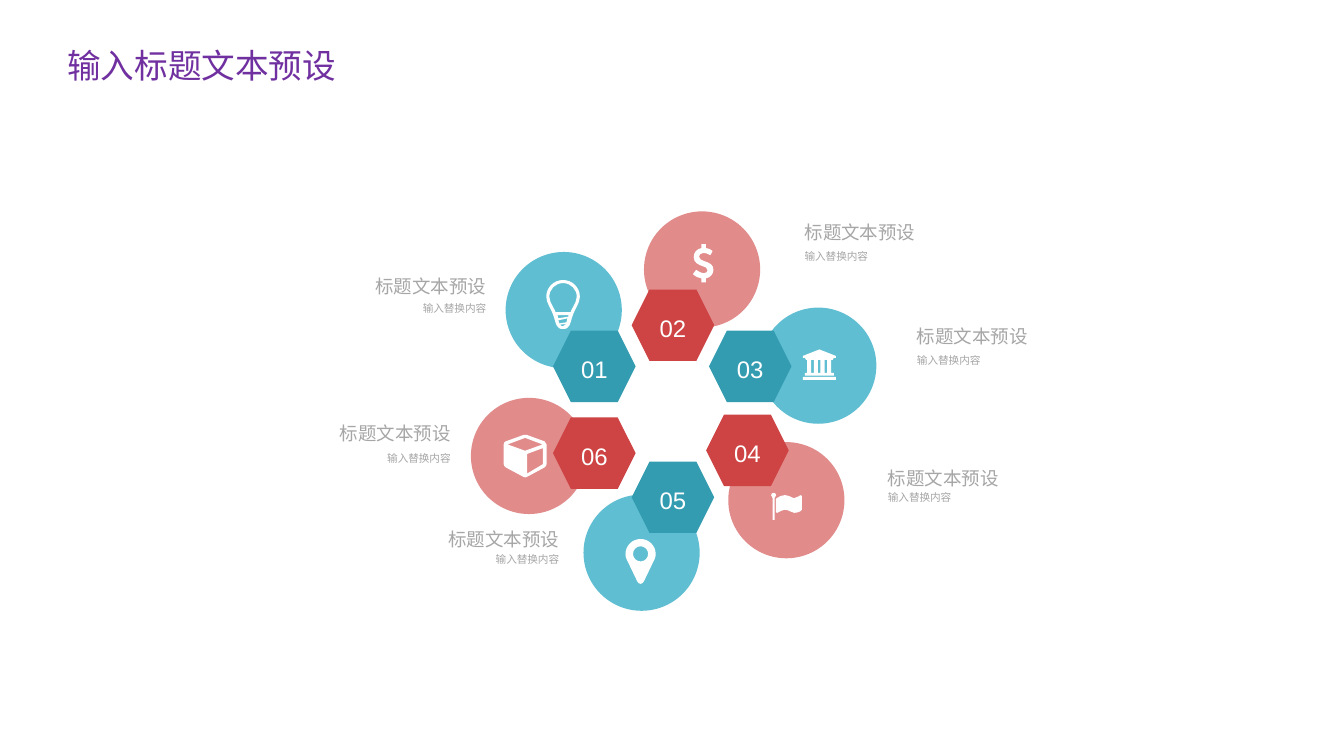
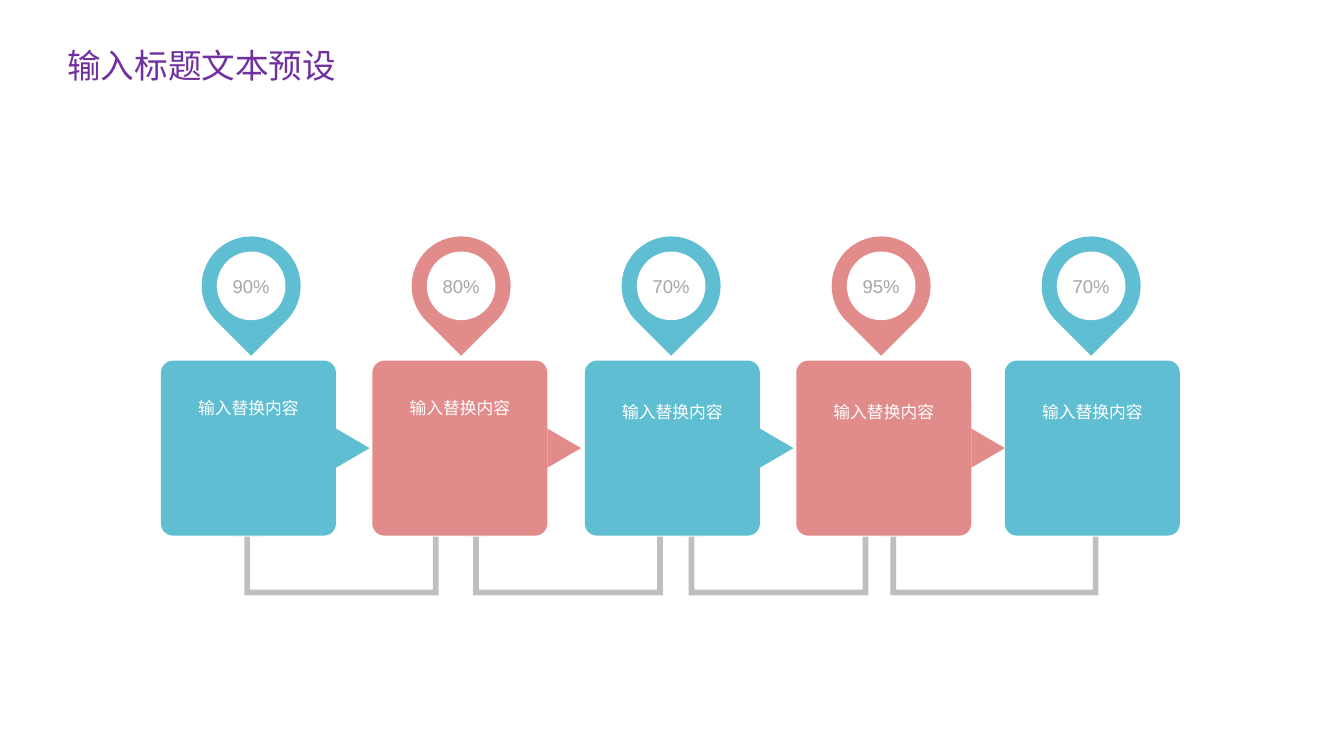
from dataclasses import dataclass

import lxml.etree
import pptx
import pptx.dml.color
import pptx.enum.shapes
import pptx.enum.text
import pptx.oxml.ns
import pptx.util

Pt = pptx.util.Pt
RGBColor = pptx.dml.color.RGBColor
Shape = pptx.enum.shapes.MSO_SHAPE
Align = pptx.enum.text.PP_ALIGN
Anchor = pptx.enum.text.MSO_ANCHOR
qn = pptx.oxml.ns.qn

AQUA = RGBColor(0x5F, 0xBE, 0xD1)
TEAL = RGBColor(0x33, 0x9C, 0xB1)
ROSE = RGBColor(0xE1, 0x8B, 0x8B)
RED = RGBColor(0xCE, 0x43, 0x43)
PURPLE = RGBColor(0x70, 0x30, 0xA0)
GREY = RGBColor(0xA6, 0xA6, 0xA6)
SILVER = RGBColor(0xBF, 0xBF, 0xBF)
WHITE = RGBColor(0xFF, 0xFF, 0xFF)

BODY_FONT = "Arial"
TITLE_FONT = "Noto Sans CJK SC"
TITLE = "输入标题文本预设"
HEADING = "标题文本预设"
CONTENT = "输入替换内容"

Contour = list[tuple[float, ...]]


def rectangle(left: float, top: float, right: float, bottom: float) -> Contour:
    return [(left, top), (right, top), (right, bottom), (left, bottom)]


BULB: list[Contour] = [
    [(12, 0), (5.3, 0, 0, 5.3, 0, 12), (0, 16.5, 4, 21.5, 5, 25),
     (7.2, 31.5, 7, 35, 12, 35), (17, 35, 16.8, 31.5, 19, 25),
     (20, 21.5, 24, 16.5, 24, 12), (24, 5.3, 18.7, 0, 12, 0)],
    [(17.3, 23), (6.7, 23), (6.4, 22, 5.8, 21, 5, 19.5),
     (3.5, 16.5, 2.2, 14.5, 2.2, 12), (2.2, 6.6, 6.6, 2.2, 12, 2.2),
     (17.4, 2.2, 21.8, 6.6, 21.8, 12), (21.8, 14.5, 20.5, 16.5, 19, 19.5),
     (18.2, 21, 17.6, 22, 17.3, 23)],
    [(14.4, 30.2), (9.4, 31), (8.6, 28.8), (15.1, 27.4)],
    [(8.6, 27.3), (8, 25), (16, 25), (15.7, 26.2)],
    [(12, 33), (10.8, 33, 10.2, 32.6, 9.9, 31.9), (14.2, 31.3)],
]

DOLLAR: list[Contour] = [
    [(9.4, 24.5), (9.4, 27.4), (6.2, 27.4), (6.2, 24.5),
     (2.4, 23.9, 0.4, 21.8, 0.2, 21.4), (2.4, 18.5),
     (3, 18.4, 5, 20.7, 7.9, 20.8), (9.5, 20.8, 10.6, 20, 10.6, 18.7),
     (10.6, 16.8, 8.8, 16.5, 7, 15.8), (4.2, 14.8, 0.7, 13.4, 0.7, 9.4),
     (0.7, 6, 2.9, 3.5, 6.2, 2.9), (6.2, 0), (9.4, 0), (9.4, 2.9),
     (12, 3.2, 13.8, 4.6, 14.2, 5), (12.6, 8),
     (12, 8, 10.3, 6.4, 7.9, 6.4), (5.9, 6.4, 4.5, 7.4, 4.5, 9),
     (4.5, 11, 6.5, 11.5, 8.5, 12.3), (11.5, 13.4, 14.8, 14.4, 14.8, 18.3),
     (14.8, 21.5, 12.6, 24, 9.4, 24.5)],
]

BANK: list[Contour] = [
    [(11.7, 0), (23.4, 4.6), (23.4, 6), (22, 6), (21.3, 7.4),
     (2.1, 7.4), (1.4, 6), (0, 6), (0, 4.6)],
    *[rectangle(left, 7.4, left + 2.9, 16.8) for left in (3, 7.75, 12.5, 17.25)],
    rectangle(1.4, 16.8, 22, 18.8),
    rectangle(0, 19.6, 23.4, 21.8),
]

FLAG: list[Contour] = [
    [(2.6, 3.6), (2.6, 19.4), (1, 19.4), (1, 3.6),
     (0.4, 3.2, 0, 2.5, 0, 1.8), (0, 0.8, 0.8, 0, 1.8, 0),
     (2.8, 0, 3.6, 0.8, 3.6, 1.8), (3.6, 2.5, 3.2, 3.2, 2.6, 3.6)],
    [(21.9, 12.2), (21.9, 12.8, 21.5, 13, 21, 13.2),
     (19.8, 13.8, 18.3, 14.4, 16.6, 14.4), (14.4, 14.4, 13, 12.2, 10, 12.2),
     (8.5, 12.2, 6, 13.3, 4.3, 14.4), (3.5, 13.9), (3.5, 4.3), (4.6, 3.5),
     (6, 2.6, 7.7, 1.7, 9.8, 1.7), (12.2, 1.7, 13.5, 2.6, 15.2, 3.5),
     (15.7, 3.7, 16, 3.8, 16.5, 3.8), (18.5, 3.8, 20.5, 1.7, 21.3, 1.7),
     (21.9, 2.4)],
]

MAP_PIN: list[Contour] = [
    [(20.8, 14.4), (13.2, 30.2), (12.6, 31.4, 11.8, 32, 10.8, 32),
     (9.7, 32, 8.9, 31.4, 8.4, 30.2), (0.8, 14.4),
     (0.2, 13.3, 0, 12, 0, 10.8), (0, 4.8, 4.8, 0, 10.8, 0),
     (16.8, 0, 21.6, 4.8, 21.6, 10.8), (21.6, 12, 21.4, 13.3, 20.8, 14.4)],
    [(10.8, 5.2), (7.8, 5.2, 5.4, 7.6, 5.4, 10.6),
     (5.4, 13.6, 7.8, 16, 10.8, 16), (13.8, 16, 16.2, 13.6, 16.2, 10.6),
     (16.2, 7.6, 13.8, 5.2, 10.8, 5.2)],
]

CUBE: list[Contour] = [
    [(30.6, 21.2), (30.6, 22.3, 30, 23, 29.2, 23.6), (16.6, 30.4),
     (16, 30.9, 15, 30.9, 14.2, 30.4), (1.5, 23.6), (0.6, 23, 0, 22.3, 0, 21.2),
     (0, 7.2), (0, 6, 0.6, 5.4, 1.5, 5), (14.4, 0.3),
     (15, 0, 15.6, 0, 16.3, 0.3), (29.2, 5), (30, 5.4, 30.6, 6, 30.6, 7.2)],
    [(27.8, 7.2), (15.3, 2.5), (2.8, 7.2), (15.3, 11.7)],
    [(28, 21.3), (28, 9.8), (16.7, 14), (16.7, 28)],
]


@dataclass(frozen=True)
class Petal:
    number: str
    circle: tuple[float, float]
    hexagon: tuple[float, float]
    icon: list[Contour]
    icon_at: tuple[float, float]
    label_edge: float
    heading_top: float
    content_top: float
    align: Align


@dataclass(frozen=True)
class Step:
    percent: str
    card_left: float
    text_top: float


@dataclass(frozen=True)
class Bracket:
    left: float
    width: float


PETALS = [
    Petal("01", (361.2, 180), (395, 236.2), BULB, (390.2, 200), 347.3, 193, 213.8, Align.RIGHT),
    Petal("02", (460, 151), (451.2, 206.8), DOLLAR, (494.8, 174.3), 574.7, 154.8, 176.7, Align.LEFT),
    Petal("03", (543, 219.7), (506.4, 236.2), BANK, (573.6, 249.6), 655, 229, 251.3, Align.LEFT),
    Petal("04", (520.2, 315.8), (504.4, 296.2), FLAG, (550.8, 352), 634.2, 330.5, 348.8, Align.LEFT),
    Petal("05", (416.8, 353.3), (451.2, 329.7), MAP_PIN, (446.8, 385), 399.4, 374.2, 393.1, Align.RIGHT),
    Petal("06", (336.4, 284.2), (395, 298.2), CUBE, (359.8, 310.3), 321.9, 298, 320.8, Align.RIGHT),
]

STEPS = [
    Step("90%", 115, 281.5),
    Step("80%", 266, 281.5),
    Step("70%", 417.8, 284),
    Step("95%", 568.8, 284),
    Step("70%", 717.8, 284),
]

BRACKETS = [Bracket(166, 147.3), Bracket(329.5, 144), Bracket(483.5, 136.8), Bracket(627.6, 157)]


def paint(figure, fill: RGBColor) -> None:
    figure.shadow.inherit = False
    figure.fill.solid()
    figure.fill.fore_color.rgb = fill
    figure.line.fill.background()


def add_figure(slide, kind: Shape, left: float, top: float, width: float, height: float,
               fill: RGBColor, adjustments: tuple[float, ...] = (), rotation: float = 0):
    figure = slide.shapes.add_shape(kind, Pt(left), Pt(top), Pt(width), Pt(height))
    paint(figure, fill)
    for index, value in enumerate(adjustments):
        figure.adjustments[index] = value
    figure.rotation = rotation
    return figure


def write(frame, text: str, size: float, color: RGBColor, align: Align = Align.LEFT,
          spacing: float = 1.0, font: str = BODY_FONT) -> None:
    paragraph = frame.paragraphs[0]
    paragraph.text = text
    paragraph.alignment = align
    paragraph.line_spacing = spacing
    paragraph.font.name = font
    paragraph.font.size = Pt(size)
    paragraph.font.color.rgb = color


def clear_margins(frame) -> None:
    frame.margin_left = frame.margin_right = frame.margin_top = frame.margin_bottom = 0


def add_label(slide, text: str, left: float, top: float, width: float, height: float,
              size: float, color: RGBColor, align: Align, wrap: bool = True) -> None:
    frame = slide.shapes.add_textbox(Pt(left), Pt(top), Pt(width), Pt(height)).text_frame
    frame.word_wrap = wrap
    frame.auto_size = pptx.enum.text.MSO_AUTO_SIZE.SHAPE_TO_FIT_TEXT
    clear_margins(frame)
    write(frame, text, size, color, align, 1.2)


def add_caption(figure, text: str, size: float, color: RGBColor, spacing: float) -> None:
    frame = figure.text_frame
    clear_margins(frame)
    frame.vertical_anchor = Anchor.MIDDLE
    write(frame, text, size, color, Align.CENTER, spacing)


def add_icon(slide, icon: list[Contour], left: float, top: float) -> None:
    def place(x: float, y: float) -> tuple[int, int]:
        return Pt(left + x), Pt(top + y)

    outline = slide.shapes.build_freeform(*place(*icon[0][0]))
    for index, contour in enumerate(icon):
        if index:
            outline.move_to(*place(*contour[0]))
        outline.add_line_segments([place(*segment[-2:]) for segment in contour[1:]], close=True)
    figure = outline.convert_to_shape()
    paint(figure, WHITE)
    segments = [segment for contour in icon for segment in contour[1:]]
    for edge, segment in zip(list(figure.element.iter(qn("a:lnTo"))), segments):
        if len(segment) == 6:
            curve = lxml.etree.Element(qn("a:cubicBezTo"))
            for x, y in zip(segment[::2], segment[1::2]):
                point_x, point_y = place(x, y)
                lxml.etree.SubElement(curve, qn("a:pt"), x=str(point_x - figure.left),
                                      y=str(point_y - figure.top))
            edge.getparent().replace(edge, curve)


def add_titled_slide(deck):
    slide = deck.slides.add_slide(deck.slide_layouts[6])
    frame = slide.shapes.add_textbox(Pt(41), Pt(28.8), Pt(242), Pt(36)).text_frame
    frame.word_wrap = True
    write(frame, TITLE, 24, PURPLE, font=TITLE_FONT)
    return slide


def build_ring(deck) -> None:
    slide = add_titled_slide(deck)
    pale, strong = (AQUA, ROSE), (TEAL, RED)
    for index, petal in enumerate(PETALS):
        add_figure(slide, Shape.OVAL, *petal.circle, 83, 83, pale[index % 2])
    for index, petal in enumerate(PETALS):
        hexagon = add_figure(slide, Shape.HEXAGON, *petal.hexagon, 59, 51, strong[index % 2])
        add_caption(hexagon, petal.number, 17.1, WHITE, 1.2)
    for petal in PETALS:
        add_icon(slide, petal.icon, *petal.icon_at)
        for text, top, width, height, size, wrap in (
            (HEADING, petal.heading_top, 80, 17.3, 13.2, False),
            (CONTENT, petal.content_top, 181, 10, 7.6, True),
        ):
            left = petal.label_edge - (width if petal.align == Align.RIGHT else 0)
            add_label(slide, text, left, top, width, height, size, GREY, petal.align, wrap)


def build_process(deck) -> None:
    slide = add_titled_slide(deck)
    card_size, card_top = 125, 257.6
    drop_size, hole_size, drop_pitch, drop_y = 70.6, 49, 150, 204.2
    arrow_width, arrow_height = 28, 24
    for bracket in BRACKETS:
        add_figure(slide, Shape.U_TURN_ARROW, bracket.left, 383.4, bracket.width, 41.8,
                   SILVER, (0.097, 0.25, 0, 0, 1), 180)
    for index, step in enumerate(STEPS):
        color = (AQUA, ROSE)[index % 2]
        add_figure(slide, Shape.ROUNDED_RECTANGLE, step.card_left, card_top,
                   card_size, card_size, color, (0.069,))
        add_label(slide, CONTENT, step.card_left + 15, step.text_top, card_size - 30, 16,
                  12, WHITE, Align.CENTER)
        if index < len(STEPS) - 1:
            add_figure(slide, Shape.ISOSCELES_TRIANGLE,
                       step.card_left + card_size + (arrow_height - arrow_width) / 2,
                       card_top + (card_size - arrow_height) / 2,
                       arrow_width, arrow_height, color, rotation=90)
        drop_x = 179.4 + index * drop_pitch
        add_figure(slide, Shape.TEAR, drop_x - drop_size / 2, drop_y - drop_size / 2,
                   drop_size, drop_size, color, rotation=135)
        hole = add_figure(slide, Shape.OVAL, drop_x - hole_size / 2, drop_y - hole_size / 2,
                          hole_size, hole_size, WHITE)
        add_caption(hole, step.percent, 13.2, GREY, 1.0)


def main() -> None:
    deck = pptx.Presentation()
    deck.slide_width, deck.slide_height = Pt(960), Pt(540)
    build_ring(deck)
    build_process(deck)
    deck.save("out.pptx")


if __name__ == "__main__":
    main()
